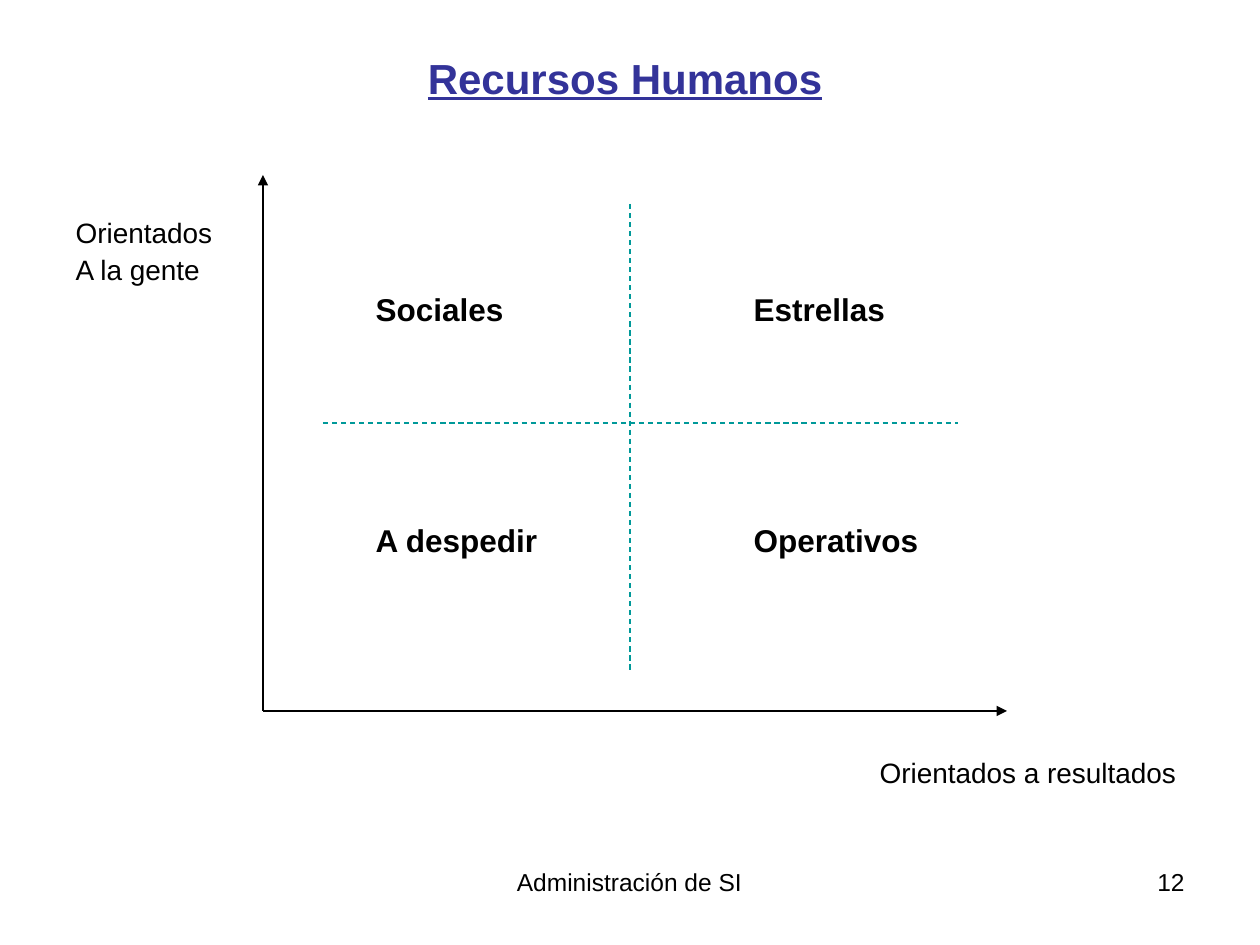
from dataclasses import dataclass

from lxml.etree import SubElement
from pptx import Presentation
from pptx.dml.color import RGBColor
from pptx.enum.dml import MSO_LINE_DASH_STYLE as Dash
from pptx.enum.shapes import MSO_CONNECTOR as Connector
from pptx.enum.text import MSO_ANCHOR as Anchor, MSO_AUTO_SIZE as AutoSize, PP_ALIGN as Align
from pptx.oxml.ns import qn
from pptx.util import Emu, Pt

PX_PER_INCH = 126
BLACK, NAVY, TEAL = "000000", "333399", "009999"
COLUMN_GAP = 378


@dataclass
class Box:
    left: int
    top: int
    width: int
    height: int
    margin_top: int = 6


@dataclass
class Line:
    start: tuple[int, int]
    end: tuple[int, int]
    color: str
    arrow: bool = False


@dataclass
class Row:
    """One line of the body; a tab moves on by one column."""
    text: str
    size: int
    space_before: int
    indent: int = 0
    bold: bool = False


@dataclass
class Footer:
    text: str
    box: Box
    align: Align


TITLE_BOX = Box(283, 45, 684, 63, margin_top=7)
BODY_BOX = Box(63, 135, 1134, 709, margin_top=84)
ROWS = [
    Row("Orientados", 16, 0),
    Row("A la gente", 16, 7),
    Row("Sociales\tEstrellas", 18, 8, 300, bold=True),
    Row("A despedir\tOperativos", 18, 197, 300, bold=True),
    Row("Orientados a resultados", 16, 200, 804),
]
ORIGIN = (263, 711)
LINES = [
    Line(ORIGIN, (263, 175), BLACK, arrow=True),
    Line(ORIGIN, (1007, 711), BLACK, arrow=True),
    Line((630, 204), (630, 670), TEAL),
    Line((323, 423), (958, 423), TEAL),
]
FOOTERS = [
    Footer("Administración de SI", Box(430, 861, 399, 65), Align.CENTER),
    Footer("12", Box(903, 861, 294, 65), Align.RIGHT),
]


def px(length: int) -> Emu:
    return Emu(round(length * 914400 / PX_PER_INCH))


def rgb(color: str) -> RGBColor:
    return RGBColor.from_string(color)


def place(shape, box: Box) -> None:
    shape.left, shape.top = px(box.left), px(box.top)
    shape.width, shape.height = px(box.width), px(box.height)
    frame = shape.text_frame
    frame.word_wrap = True
    frame.auto_size = AutoSize.NONE
    frame.vertical_anchor = Anchor.TOP
    frame.margin_top = px(box.margin_top)


def add_span(para, text: str, size: int, color: str = BLACK, bold: bool = False) -> None:
    span = para.add_run()
    span.text = text
    font = span.font
    font.name, font.size, font.bold = "Arial", Pt(size), bold
    font.color.rgb = rgb(color)


def fill_title(title) -> None:
    place(title, TITLE_BOX)
    para = title.text_frame.paragraphs[0]
    para.alignment = Align.CENTER
    add_span(para, "Recursos Humanos", 24, NAVY, bold=True)
    para.runs[0].font.underline = True


def fill_body(body) -> None:
    place(body, BODY_BOX)
    frame = body.text_frame
    for index, row in enumerate(ROWS):
        para = frame.add_paragraph() if index else frame.paragraphs[0]
        properties = para._p.get_or_add_pPr()
        properties.set("marL", str(px(row.indent)))
        properties.set("indent", "0")
        properties.set("defTabSz", str(px(COLUMN_GAP)))
        SubElement(properties, qn("a:buNone"))
        para.line_spacing = 0.9
        para.space_before = px(row.space_before)
        add_span(para, row.text, row.size, bold=row.bold)


def add_line(slide, line: Line) -> None:
    points = [px(value) for value in (*line.start, *line.end)]
    connector = slide.shapes.add_connector(Connector.STRAIGHT, *points)
    connector.line.width = Pt(0.75)
    connector.line.color.rgb = rgb(line.color)
    if line.arrow:
        SubElement(connector.line._get_or_add_ln(), qn("a:tailEnd"), type="triangle")
    else:
        connector.line.dash_style = Dash.DASH
    SubElement(connector._element.spPr, qn("a:effectLst"))


def add_footer(slide, footer: Footer) -> None:
    shape = slide.shapes.add_textbox(0, 0, 0, 0)
    place(shape, footer.box)
    para = shape.text_frame.paragraphs[0]
    para.alignment = footer.align
    add_span(para, footer.text, 14)


def main() -> None:
    deck = Presentation()
    deck.slide_width, deck.slide_height = px(1260), px(945)
    slide = deck.slides.add_slide(deck.slide_layouts[1])
    fill_title(slide.shapes.title)
    fill_body(slide.placeholders[1])
    for line in LINES:
        add_line(slide, line)
    for footer in FOOTERS:
        add_footer(slide, footer)
    deck.save("out.pptx")


if __name__ == "__main__":
    main()
